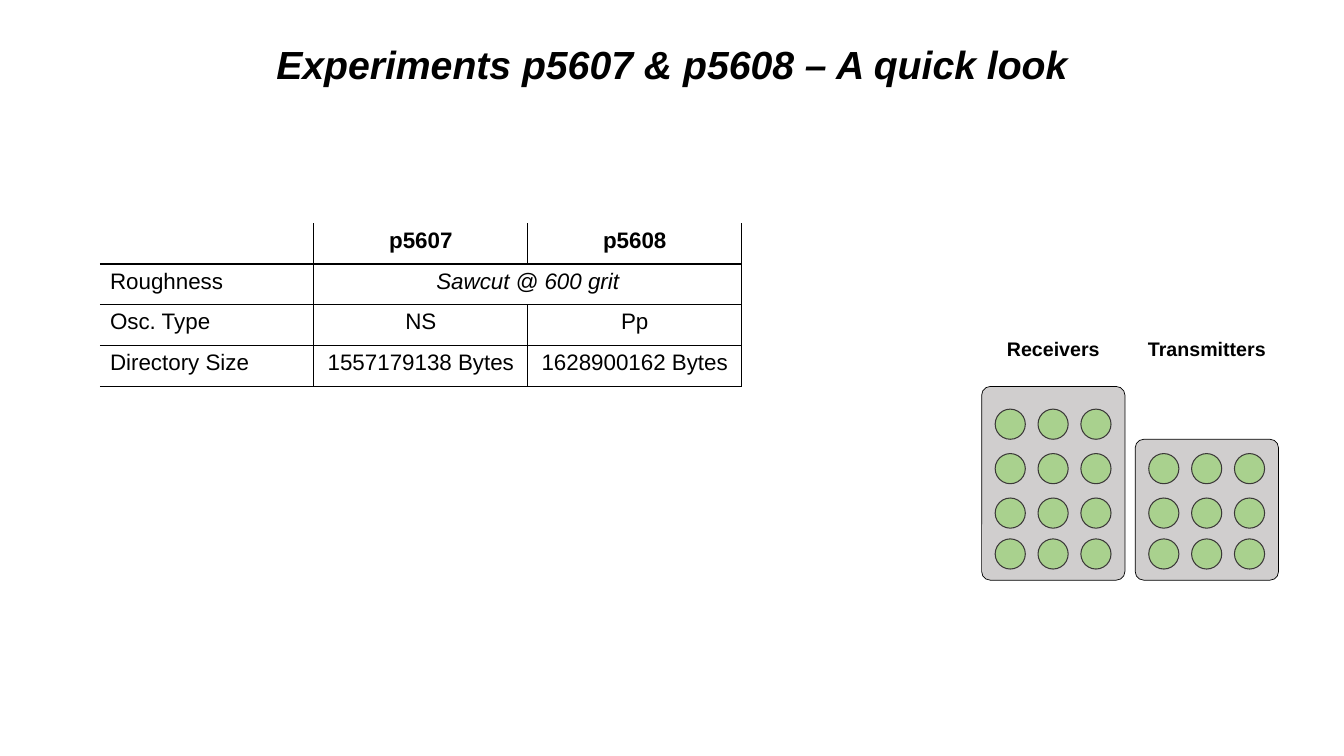
from pptx import Presentation
from pptx.dml.color import RGBColor as Rgb
from pptx.enum.shapes import MSO_SHAPE as Form
from pptx.enum.text import MSO_ANCHOR as Anchor, PP_ALIGN as Align
from pptx.oxml import parse_xml
from pptx.oxml.ns import nsdecls
from pptx.util import Cm, Pt

HUES = {"ink": "000000", "plate": "D0CECE", "dot": "A9D18E", "rim": "3B3838"}
FONT = "Arial"


class Board:
    """Holds the style and the current slide."""

    def __init__(self, deck):
        self.slide = deck.slides.add_slide(deck.slide_layouts[5])
        self.shapes = self.slide.shapes

    def hue(self, name):
        return Rgb.from_string(HUES[name])

    def words(self, frame, text, size, bold=False, italic=False, align=Align.CENTER):
        frame.text = text
        para = frame.paragraphs[0]
        para.alignment = align
        for run in para.runs:
            font = run.font
            font.name, font.size = FONT, Pt(size)
            font.bold, font.italic = bold, italic
            font.color.rgb = self.hue("ink")

    def title(self, text, *box):
        head = self.shapes.title
        head.left, head.top, head.width, head.height = map(Cm, box)
        frame = head.text_frame
        self.words(frame, text, 28, bold=True, italic=True)
        frame.word_wrap = False
        frame.vertical_anchor = Anchor.TOP
        frame.paragraphs[0].line_spacing = 1.0
        frame.paragraphs[0].space_before = Pt(0)

    def label(self, text, *box):
        frame = self.shapes.add_textbox(*map(Cm, box)).text_frame
        frame.word_wrap = False
        self.words(frame, text, 14, bold=True)

    def shape(self, form, fill, line, width, *box):
        item = self.shapes.add_shape(form, *map(Cm, box))
        item.shadow.inherit = False
        item.fill.solid()
        item.fill.fore_color.rgb = self.hue(fill)
        item.line.color.rgb = self.hue(line)
        item.line.width = Pt(width)
        return item

    def border(self, cell, sides):
        props = cell._tc.get_or_add_tcPr()
        for spot, side in enumerate("LRTB"):
            paint = "<a:noFill/>"
            if side in sides:
                paint = f'<a:solidFill><a:srgbClr val="{HUES["ink"]}"/></a:solidFill>'
            props.insert(spot, parse_xml(
                f'<a:ln{side} {nsdecls("a")} w="{Pt(1)}">{paint}</a:ln{side}>'))

    def table(self, rows, left, top, wide, high):
        count = len(rows[0])
        grid = self.shapes.add_table(
            len(rows), count, Cm(left), Cm(top),
            Cm(wide * count), Cm(high * len(rows))).table
        grid.first_row = grid.horz_banding = False
        for col in grid.columns:
            col.width = Cm(wide)
        for r, row in enumerate(rows):
            grid.rows[r].height = Cm(high)
            for c, text in enumerate(row):
                cell = grid.cell(r, c)
                cell.fill.background()
                # Open on the outer left and top edges
                self.border(cell, "RB" + ("L" if c else "") + ("T" if r else ""))
                if text:
                    self.words(cell.text_frame, text, 16, bold=r == 0,
                               align=Align.CENTER if c else Align.LEFT)
        return grid


def main():
    deck = Presentation()
    deck.slide_width, deck.slide_height = Cm(33.87), Cm(19.05)
    board = Board(deck)
    board.title("Experiments p5607 & p5608 – A quick look", 6.58, 0.89, 20.7, 1.45)

    # Table of the two experiments
    grid = board.table([
        ["", "p5607", "p5608"],
        ["Roughness", "Sawcut @ 600 grit", ""],
        ["Osc. Type", "NS", "Pp"],
        ["Directory Size", "1557179138 Bytes", "1628900162 Bytes"],
    ], 2.52, 5.62, 5.39, 1.03)
    grid.cell(1, 1).merge(grid.cell(1, 2))
    grid.cell(1, 1).text_frame.paragraphs[0].runs[0].font.italic = True

    # Sensor plates, each with three columns of dots
    wide, base, size, step = 3.61, 14.62, 0.76, 1.08
    levels = [10.31, 11.43, 12.55, 13.58]
    plates = [("Receivers", 24.74, 9.74, levels),
              ("Transmitters", 28.61, 11.07, levels[1:])]
    for name, left, top, tiers in plates:
        plate = board.shape(Form.ROUNDED_RECTANGLE, "plate", "ink", 0.5,
                            left, top, wide, base - top)
        plate.adjustments[0] = 0.06
        for tier in tiers:
            for col in range(3):
                board.shape(Form.OVAL, "dot", "rim", 0.75,
                            left + 0.34 + col * step, tier, size, size)
        board.label(name, left, 8.36, wide, 0.86)

    deck.save("out.pptx")


if __name__ == "__main__":
    main()
